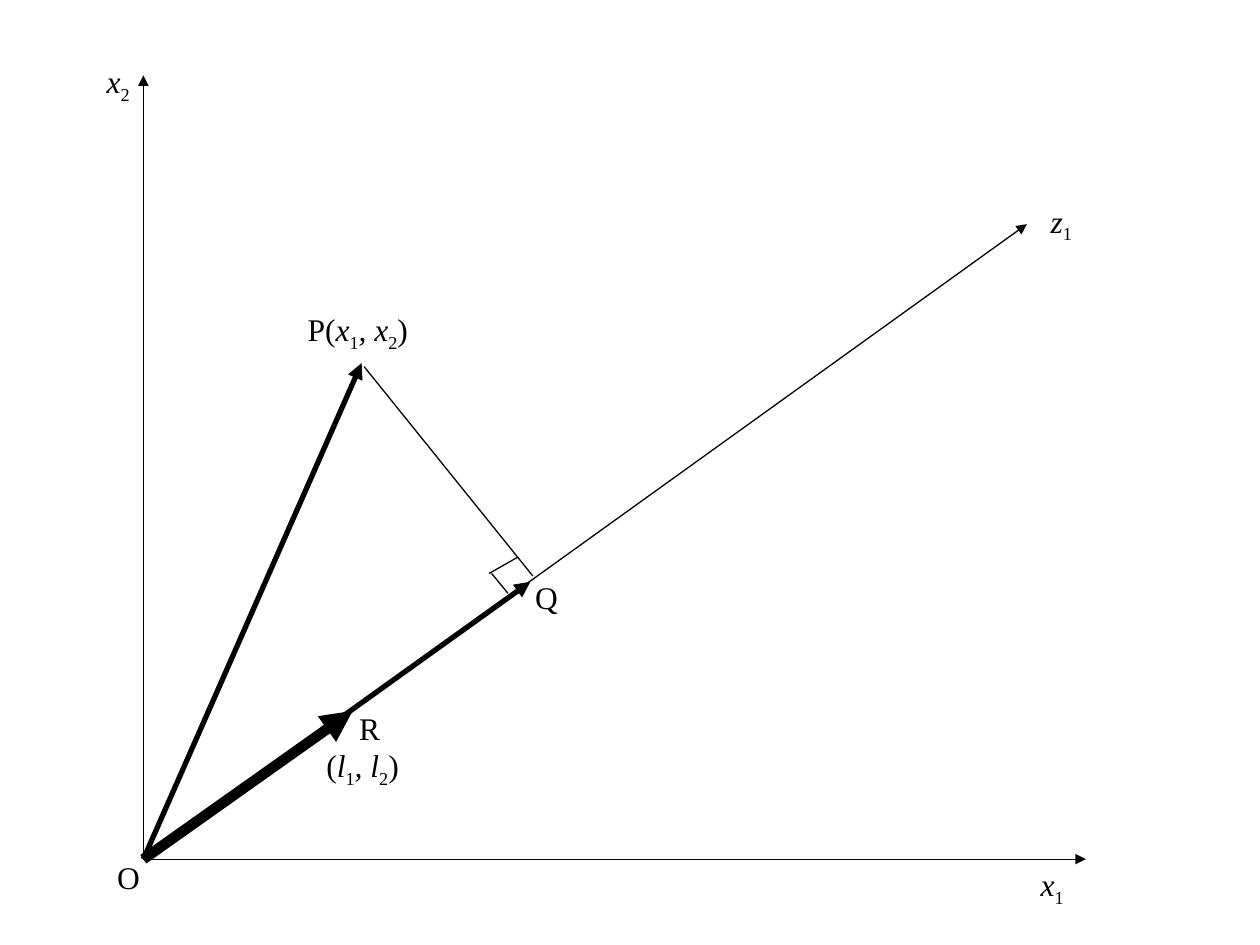
"""Build a slide showing the projection of point P onto the axis z1."""
import lxml.etree
import pptx
import pptx.dml.color
import pptx.enum.shapes
import pptx.enum.text
import pptx.oxml.ns
import pptx.util

Cm = pptx.util.Cm
COLOURS = {"ink": "000000"}
INK = pptx.dml.color.RGBColor.from_string(COLOURS["ink"])


def add_span(para, text, italic=False, subscript=False):
    span = para.add_run()
    span.text = text
    span.font.name = "Times New Roman"
    span.font.size = pptx.util.Pt(18)
    span.font.italic = italic
    span.font.color.rgb = INK
    if subscript:
        span.font._element.set("baseline", "-25000")


def add_line(page, start, end, width, arrow):
    line = page.shapes.add_connector(
        pptx.enum.shapes.MSO_CONNECTOR.STRAIGHT,
        *(Cm(value) for value in start + end))
    line.line.width = pptx.util.Pt(width)
    line.line.color.rgb = INK
    properties = line._element.spPr
    if arrow:
        lxml.etree.SubElement(line.line._get_or_add_ln(),
                              pptx.oxml.ns.qn("a:tailEnd"), type="triangle")
    lxml.etree.SubElement(properties, pptx.oxml.ns.qn("a:effectLst"))


deck = pptx.Presentation()
deck.slide_width, deck.slide_height = Cm(25.4), Cm(19.05)
page = deck.slides.add_slide(deck.slide_layouts[6])

origin = (2.89, 17.32)
lines = [
    (origin, (2.89, 1.52), 0.75, True),
    (origin, (21.89, 17.32), 0.75, True),
    (origin, (20.7, 4.52), 0.75, True),
    (origin, (7.29, 7.32), 3, True),
    ((7.34, 7.39), (10.74, 11.61), 0.75, False),
    ((9.91, 11.56), (10.24, 11.96), 0.75, False),
    ((9.86, 11.56), (10.44, 11.23), 0.75, False),
    (origin, (10.69, 11.73), 3, True),
    (origin, (7.11, 14.33), 6, True),
]
for start, end, width, arrow in lines:
    add_line(page, start, end, width, arrow)

plain, italic, subscript = {}, {"italic": True}, {"subscript": True}
labels = [
    (6.33, 14.91, 2, 1.12, [("(", plain), ("l", italic), ("1", subscript),
                            (", l", italic), ("2", subscript), (")", plain)]),
    (5.95, 6.12, 2.6, 1.12, [("P(", plain), ("x", italic), ("1", subscript),
                             (", x", italic), ("2", subscript), (")", plain)]),
    (1.9, 1.12, 0.97, 1.12, [("x", italic), ("2", subscript)]),
    (20.73, 17.32, 0.97, 1.12, [("x", italic), ("1", subscript)]),
    (20.93, 3.94, 0.94, 1.12, [("z", italic), ("1", subscript)]),
    (10.54, 11.53, 0.97, 1.02, [("Q", plain)]),
    (2.11, 17.17, 0.97, 1.02, [("O", plain)]),
    (6.99, 14.17, 0.91, 1.02, [("R", plain)]),
]
for left, top, width, height, spans in labels:
    box = page.shapes.add_textbox(Cm(left), Cm(top), Cm(width), Cm(height))
    box.text_frame.word_wrap = False
    box.text_frame.auto_size = pptx.enum.text.MSO_AUTO_SIZE.SHAPE_TO_FIT_TEXT
    para = box.text_frame.paragraphs[0]
    for text, style in spans:
        add_span(para, text, **style)

deck.save("out.pptx")
